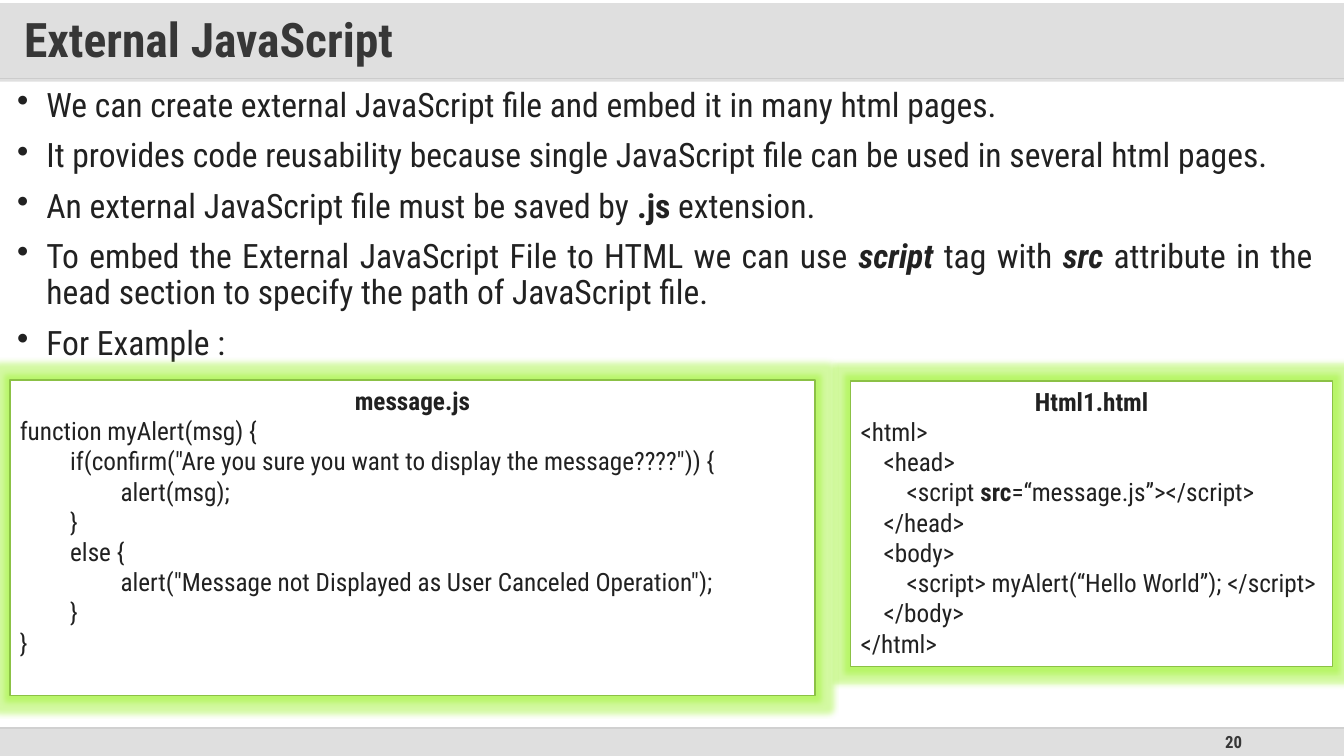
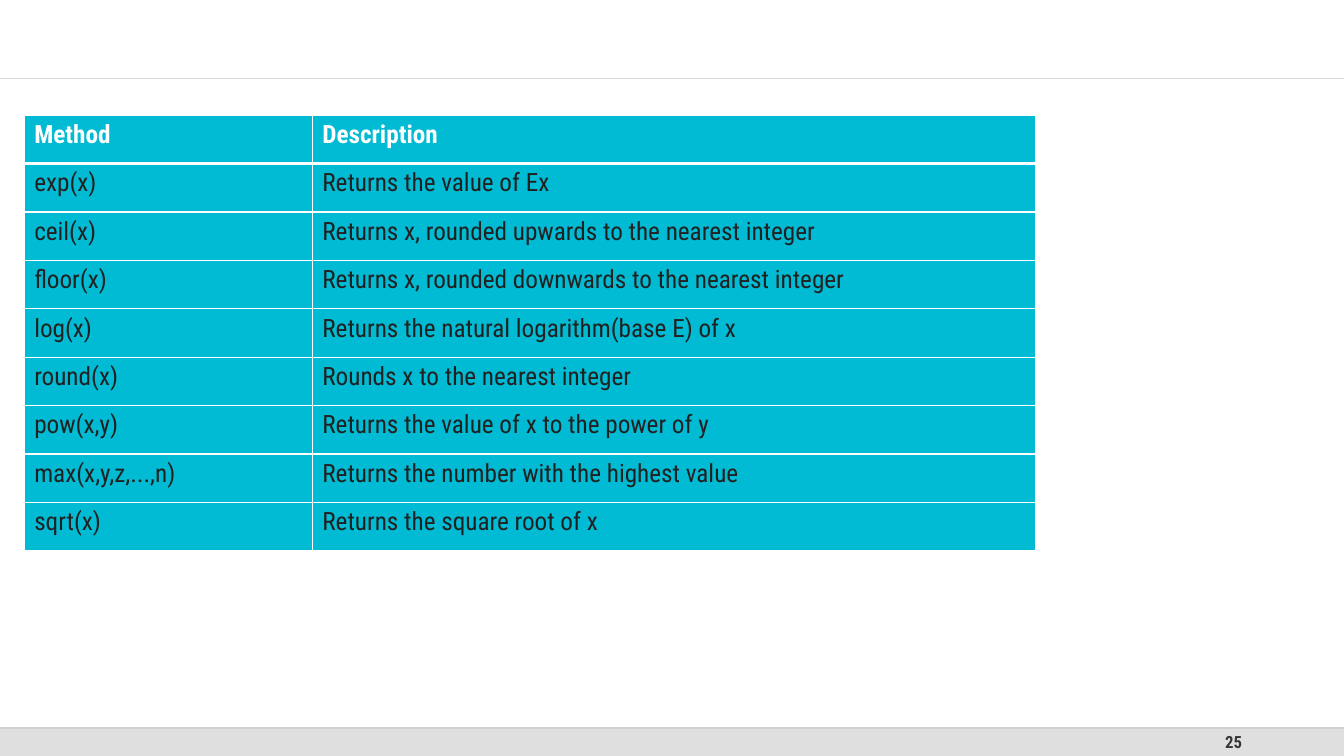
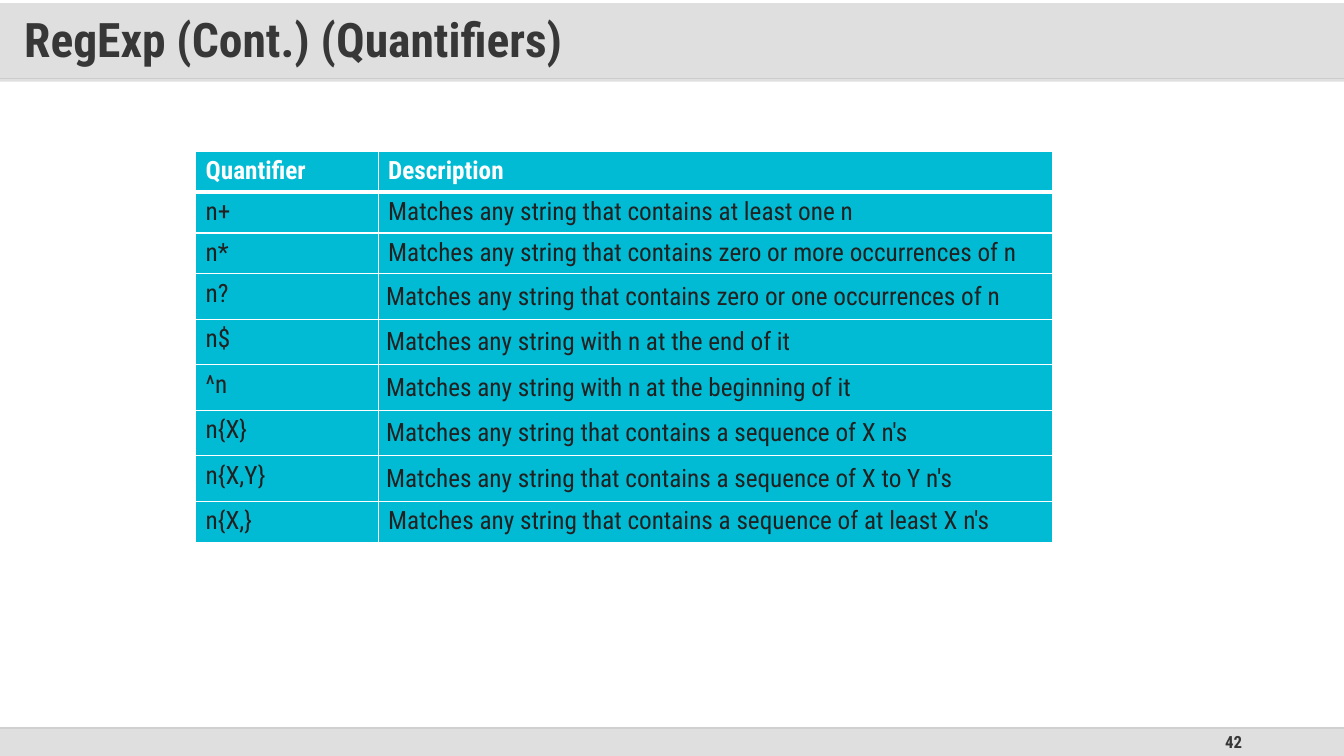
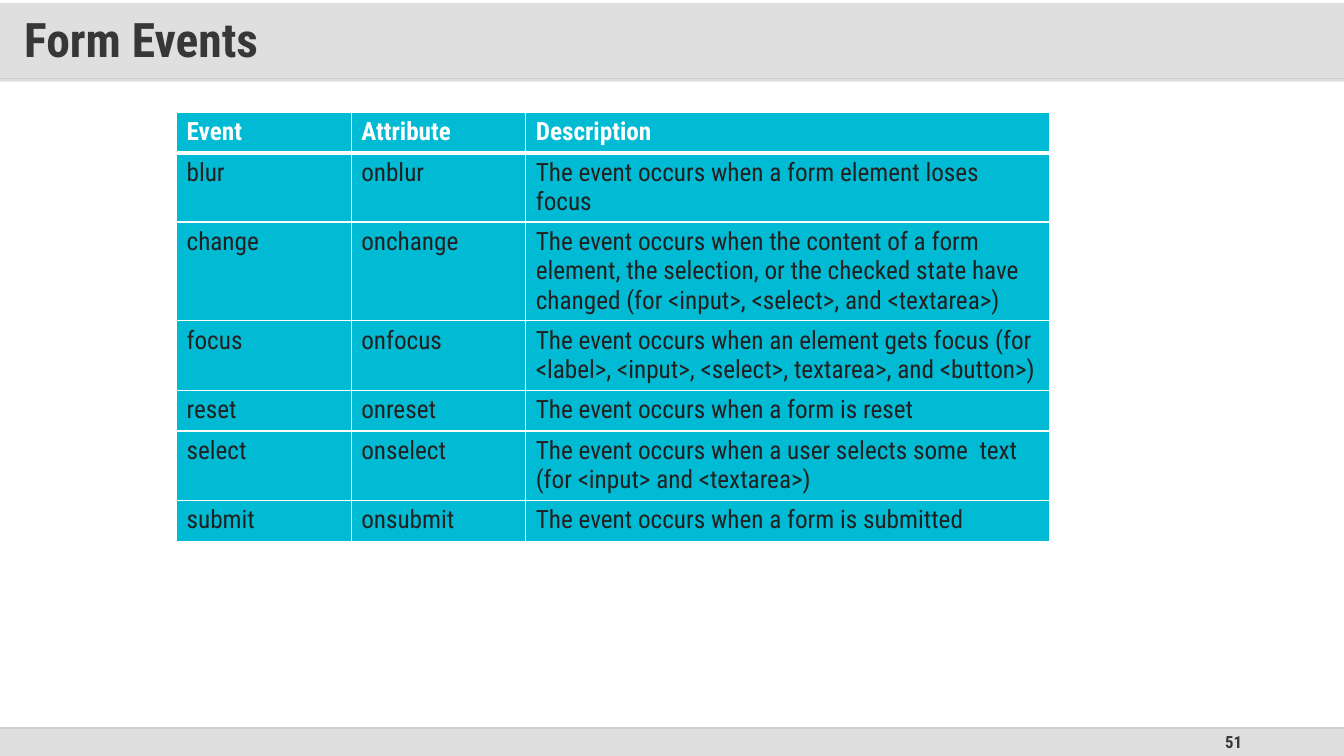
from lxml import etree
from pptx import Presentation
from pptx.dml.color import RGBColor
from pptx.enum.shapes import MSO_CONNECTOR, MSO_SHAPE
from pptx.enum.text import MSO_ANCHOR, MSO_AUTO_SIZE, PP_ALIGN
from pptx.oxml.ns import qn
from pptx.util import Cm, Pt

RECTANGLE = MSO_SHAPE.RECTANGLE
ROUNDED = MSO_SHAPE.ROUNDED_RECTANGLE
STRAIGHT = MSO_CONNECTOR.STRAIGHT
TOP, MIDDLE = MSO_ANCHOR.TOP, MSO_ANCHOR.MIDDLE
LEFT, CENTER, RIGHT, JUSTIFY = PP_ALIGN.LEFT, PP_ALIGN.CENTER, PP_ALIGN.RIGHT, PP_ALIGN.JUSTIFY
NO_AUTOFIT = MSO_AUTO_SIZE.NONE

FONT = "Roboto Condensed"
WHITE, INK, HEADING = "FFFFFF", "212121", "373737"
TITLE_BAND, FOOTER_BAND = "C0C0C0", "DFDFDF"
TITLE_RULE, FOOTER_RULE = "D9D9D9", "BFBFBF"
CELL, CODE_BORDER, CODE_GLOW = "00BBD3", "8BC145", "91F115"

WIDTH, HEIGHT = 33.87, 19.05
TITLE_RULE_TOP, FOOTER_TOP = 1.98, 18.34
TITLE_ONLY, BLANK = 5, 6

POINTS = [
    [("We can create external JavaScript file and embed it in many html pages.", "")],
    [("It provides code reusability because single JavaScript file can be used in several html pages.", "")],
    [("An external JavaScript file must be saved by ", ""), (".js ", "b"), ("extension.", "")],
    [("To embed the External JavaScript File to HTML we can use ", ""), ("script", "bi"),
     (" tag with ", ""), ("src", "bi"),
     (" attribute in the head section to specify the path of JavaScript file.", "")],
    [("For Example : ", "")],
]
MESSAGE_JS = [
    [("function myAlert(msg) {", "")],
    [("\tif(confirm(\"Are you sure you want to display the message????\")) {", "")],
    [("\t\talert(msg);", "")],
    [("\t}", "")],
    [("\telse {", "")],
    [("\t\talert(\"Message not Displayed as User Canceled Operation\");", "")],
    [("\t}", "")],
    [("}", "")],
]
HTML_PAGE = [
    [("<html>", "")],
    [("    <head>", "")],
    [("        <script ", ""), ("src", "b"), ("=“message.js”></script>", "")],
    [("    </head>", "")],
    [("    <body>", "")],
    [("        <script> myAlert(“Hello World”); </script>", "")],
    [("    </body>", "")],
    [("</html>", "")],
]
METHODS = [
    ("Method", "Description"),
    ("exp(x)", "Returns the value of Ex"),
    ("ceil(x)", "Returns x, rounded upwards to the nearest integer"),
    ("floor(x)", "Returns x, rounded downwards to the nearest integer"),
    ("log(x)", "Returns the natural logarithm(base E) of x"),
    ("round(x)", "Rounds x to the nearest integer"),
    ("pow(x,y)", "Returns the value of x to the power of y"),
    ("max(x,y,z,...,n)", "Returns the number with the highest value"),
    ("sqrt(x)", "Returns the square root of x"),
]
QUANTIFIERS = [
    ("Quantifier", "Description"),
    ("n+", "Matches any string that contains at least one n"),
    ("n*", "Matches any string that contains zero or more occurrences of n"),
    ("n?", "Matches any string that contains zero or one occurrences of n"),
    ("n$", "Matches any string with n at the end of it"),
    ("^n", "Matches any string with n at the beginning of it"),
    ("n{X}", "Matches any string that contains a sequence of X n's"),
    ("n{X,Y}", "Matches any string that contains a sequence of X to Y n's"),
    ("n{X,}", "Matches any string that contains a sequence of at least X n's"),
]
PADDED_QUANTIFIERS = range(3, 8)
FORM_EVENTS = [
    ("Event", "Attribute", "Description"),
    ("blur", "onblur", "The event occurs when a form element loses focus"),
    ("change", "onchange", "The event occurs when the content of a form element, the selection, "
     "or the checked state have changed (for <input>, <select>, and <textarea>)"),
    ("focus", "onfocus", "The event occurs when an element gets focus "
     "(for <label>, <input>, <select>, textarea>, and <button>)"),
    ("reset", "onreset", "The event occurs when a form is reset"),
    ("select", "onselect", "The event occurs when a user selects some  text (for <input> and <textarea>)"),
    ("submit", "onsubmit", "The event occurs when a form is submitted"),
]


def rgb(value):
    return RGBColor.from_string(value)


def box(*lengths):
    return [Cm(length) for length in lengths]


def paint(fill, color):
    fill.solid()
    fill.fore_color.rgb = rgb(color)


def set_opacity(parent, percent):
    color = parent.find(".//" + qn("a:srgbClr"))
    etree.SubElement(color, qn("a:alpha")).set("val", str(percent * 1000))


def set_insets(holder, horizontal, vertical):
    holder.margin_left = holder.margin_right = Cm(horizontal)
    holder.margin_top = holder.margin_bottom = Cm(vertical)


def write(paragraph, runs, size, color=INK, align=LEFT):
    paragraph.alignment = align
    for text, style in runs:
        run = paragraph.add_run()
        run.text = text
        run.font.name = FONT
        run.font.size = Pt(size)
        run.font.color.rgb = rgb(color)
        run.font.bold = "b" in style
        run.font.italic = "i" in style


def paragraphs(frame, count):
    yield frame.paragraphs[0]
    for _ in range(count - 1):
        yield frame.add_paragraph()


def add_rule(slide, top, color):
    rule = slide.shapes.add_connector(STRAIGHT, *box(0, top, WIDTH, top))
    rule.line.color.rgb = rgb(color)
    rule.line.width = Pt(1)
    etree.SubElement(rule.element.find(qn("p:spPr")), qn("a:effectLst"))
    return rule


def add_title(slide, text):
    title = slide.shapes.title
    tree = title.element.getparent()
    tree.append(title.element)
    title.left, title.top, title.width, title.height = box(0, 0.08, WIDTH, 1.98)
    paint(title.fill, TITLE_BAND)
    set_opacity(title.element, 50)
    frame = title.text_frame
    frame.auto_size = NO_AUTOFIT
    frame.vertical_anchor = MIDDLE
    set_insets(frame, 0.61, 0.3)
    frame.paragraphs[0].line_spacing = 0.9
    write(frame.paragraphs[0], [(text, "b")], 34, HEADING)


def add_slide(deck, number, title=None):
    slide = deck.slides.add_slide(deck.slide_layouts[TITLE_ONLY if title else BLANK])
    footer = slide.shapes.add_shape(ROUNDED, *box(0, FOOTER_TOP, WIDTH, HEIGHT - FOOTER_TOP))
    footer.adjustments[0] = 0
    footer.shadow.inherit = False
    paint(footer.fill, FOOTER_BAND)
    footer.line.fill.background()
    page = slide.shapes.add_textbox(*box(23.93, FOOTER_TOP, 7.62, HEIGHT - FOOTER_TOP)).text_frame
    page.word_wrap = True
    page.vertical_anchor = MIDDLE
    set_insets(page, 0.25, 0)
    write(page.paragraphs[0], [(str(number), "b")], 12, HEADING, RIGHT)
    add_rule(slide, TITLE_RULE_TOP, TITLE_RULE)
    set_opacity(add_rule(slide, FOOTER_TOP, FOOTER_RULE).element, 70)
    if title:
        add_title(slide, title)
    return slide


def add_bullet(paragraph):
    properties = paragraph._p.get_or_add_pPr()
    properties.set("marL", str(Cm(0.74)))
    properties.set("indent", str(-Cm(0.74)))
    color = etree.SubElement(properties, qn("a:buClr"))
    etree.SubElement(color, qn("a:srgbClr")).set("val", INK)
    etree.SubElement(properties, qn("a:buChar")).set("char", "•")


def add_bullets(slide, points):
    body = slide.shapes.add_textbox(*box(0.18, 2.11, 33.15, 15.52)).text_frame
    body.word_wrap = True
    for index, (paragraph, runs) in enumerate(zip(paragraphs(body, len(points)), points)):
        add_bullet(paragraph)
        paragraph.line_spacing = 0.9
        if index:
            paragraph.space_before = Pt(10)
        write(paragraph, runs, 24, align=JUSTIFY)


def add_code(slide, place, file_name, lines):
    panel = slide.shapes.add_shape(RECTANGLE, *box(*place))
    paint(panel.fill, WHITE)
    panel.line.color.rgb = rgb(CODE_BORDER)
    panel.line.width = Pt(1)
    panel.shadow.inherit = False
    effects = panel.element.find(".//" + qn("a:effectLst"))
    glow = etree.SubElement(effects, qn("a:glow"), rad=str(Pt(8)))
    etree.SubElement(glow, qn("a:srgbClr")).set("val", CODE_GLOW)
    set_opacity(glow, 40)
    frame = panel.text_frame
    frame.word_wrap = True
    frame.vertical_anchor = TOP
    heading, *rest = paragraphs(frame, len(lines) + 1)
    write(heading, [(file_name, "b")], 18, align=CENTER)
    for paragraph, runs in zip(rest, lines):
        write(paragraph, runs, 18)


def set_borders(cell, top, bottom):
    properties = cell._tc.get_or_add_tcPr()
    for index, (side, width) in enumerate((("L", 1), ("R", 1), ("T", top), ("B", bottom))):
        border = etree.Element(qn("a:ln" + side), w=str(Pt(width)))
        fill = etree.SubElement(border, qn("a:solidFill"))
        etree.SubElement(fill, qn("a:srgbClr")).set("val", WHITE)
        properties.insert(index, border)


def add_grid(slide, left, top, widths, row_height, rows, padded=()):
    place = box(left, top, sum(widths), row_height * len(rows))
    table = slide.shapes.add_table(len(rows), len(widths), *place).table
    table.horz_banding = False
    for column, width in zip(table.columns, widths):
        column.width = Cm(width)
    for r, texts in enumerate(rows):
        table.rows[r].height = Cm(row_height)
        for c, text in enumerate(texts):
            cell = table.cell(r, c)
            paint(cell.fill, CELL)
            set_borders(cell, 3 if r == 1 else 1, 3 if r == 0 else 1)
            if c and r in padded:
                set_insets(cell, 0.2, 0.2)
            style, color = ("", INK) if r else ("b", WHITE)
            write(cell.text_frame.paragraphs[0], [(text, style)], 18, color)


def main():
    deck = Presentation()
    deck.slide_width, deck.slide_height = box(WIDTH, HEIGHT)

    external = add_slide(deck, 20, "External JavaScript")
    add_bullets(external, POINTS)
    add_code(external, (0.25, 9.58, 20.29, 7.95), "message.js", MESSAGE_JS)
    add_code(external, (21.44, 9.6, 12.14, 7.19), "Html1.html", HTML_PAGE)

    methods = add_slide(deck, 25)
    add_grid(methods, 0.61, 2.9, (7.26, 18.24), 1.22, METHODS)

    quantifiers = add_slide(deck, 42, "RegExp (Cont.) (Quantifiers)")
    add_grid(quantifiers, 4.93, 3.81, (4.6, 16.99), 1.03, QUANTIFIERS, PADDED_QUANTIFIERS)

    events = add_slide(deck, 51, "Form Events")
    add_grid(events, 4.45, 2.82, (4.4, 4.4, 13.21), 1.03, FORM_EVENTS)

    deck.save("out.pptx")


if __name__ == "__main__":
    main()
